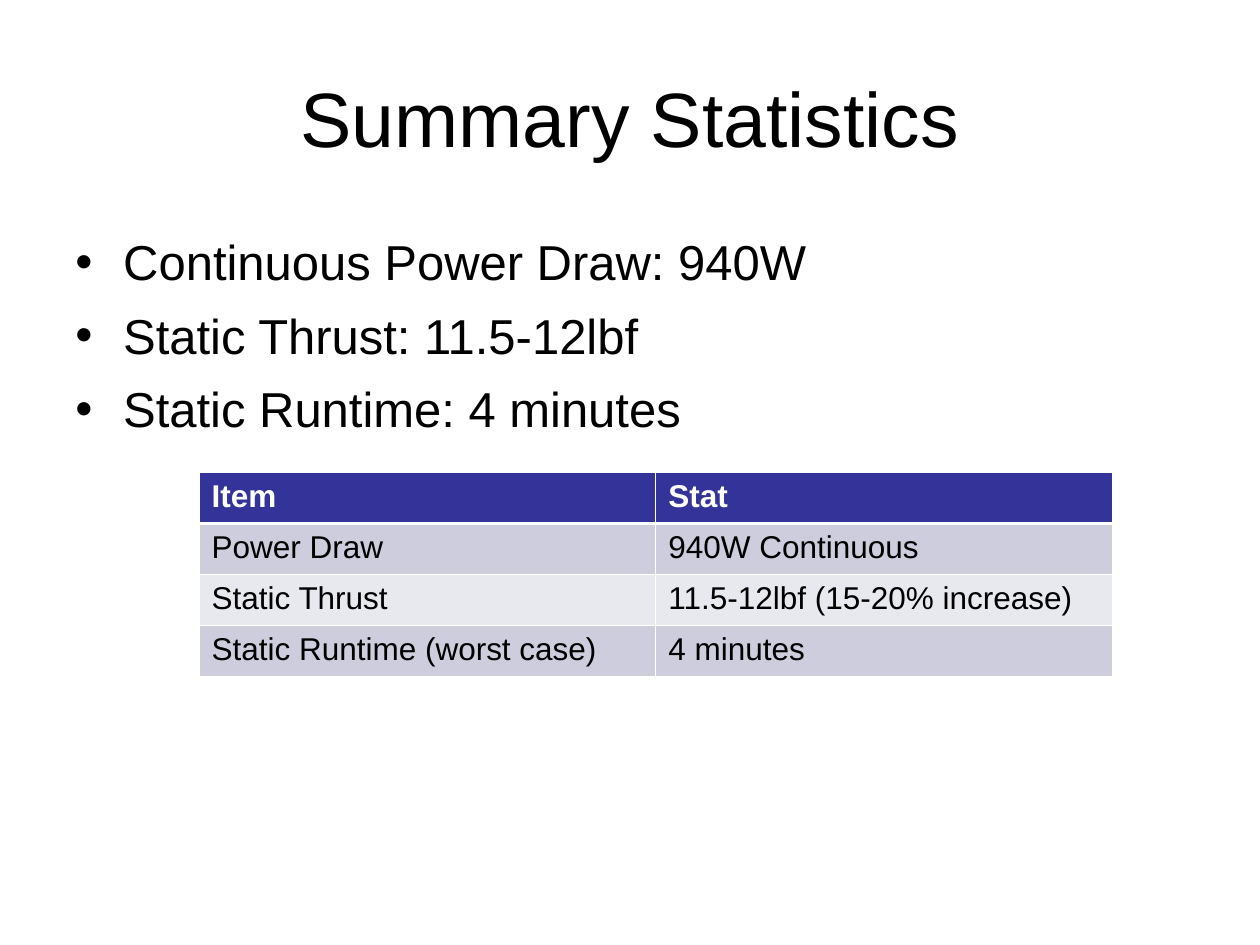
from dataclasses import dataclass

from lxml.etree import SubElement
from pptx import Presentation
from pptx.dml.color import RGBColor
from pptx.enum.text import MSO_ANCHOR, PP_ALIGN
from pptx.oxml.ns import qn
from pptx.util import Inches, Pt


@dataclass(frozen=True)
class Theme:
    font: str = "Arial"
    text: str = "000000"
    white: str = "FFFFFF"
    header: str = "333399"
    bands: tuple = ("CDCDDE", "E8E8EF")
    title_size: float = 44
    bullet_size: float = 28
    table_size: float = 18
    thin_border: float = 0.45
    header_border: float = 1.47


THEME = Theme()
BULLETS = [
    "Continuous Power Draw: 940W",
    "Static Thrust: 11.5-12lbf",
    "Static Runtime: 4 minutes",
]
STATISTICS = [
    ("Item", "Stat"),
    ("Power Draw", "940W Continuous"),
    ("Static Thrust", "11.5-12lbf (15-20% increase)"),
    ("Static Runtime (worst case)", "4 minutes"),
]


def format_runs(paragraph, size, color, bold=False):
    for run in paragraph.runs:
        run.font.name = THEME.font
        run.font.size = Pt(size)
        run.font.bold = bold
        run.font.color.rgb = RGBColor.from_string(color)


def add_text_frame(slide, box):
    text_frame = slide.shapes.add_textbox(*box).text_frame
    text_frame.word_wrap = True
    return text_frame


def add_title(slide, box, title):
    text_frame = add_text_frame(slide, box)
    text_frame.vertical_anchor = MSO_ANCHOR.MIDDLE
    text_frame.text = title
    paragraph = text_frame.paragraphs[0]
    paragraph.alignment = PP_ALIGN.CENTER
    format_runs(paragraph, THEME.title_size, THEME.text)


def set_bullet(paragraph, indent):
    properties = paragraph._p.get_or_add_pPr()
    properties.set("marL", str(indent))
    properties.set("indent", str(-indent))
    SubElement(properties, qn("a:buFont"), typeface=THEME.font)
    SubElement(properties, qn("a:buChar"), char="•")


def add_bullets(slide, box, items):
    text_frame = add_text_frame(slide, box)
    text_frame.margin_top = Inches(0.09)
    text_frame.text = "\n".join(items)
    for paragraph in text_frame.paragraphs:
        paragraph.space_after = Pt(8.4)
        set_bullet(paragraph, Inches(0.38))
        format_runs(paragraph, THEME.bullet_size, THEME.text)


def set_border(cell, side, width):
    """Draw one white cell border; side is L, R, T or B."""
    properties = cell._tc.get_or_add_tcPr()
    line = SubElement(properties, qn(f"a:ln{side}"), w=str(Pt(width)))
    fill = SubElement(line, qn("a:solidFill"))
    SubElement(fill, qn("a:srgbClr"), val=THEME.white)


def style_cell(cell, row_index):
    is_header = row_index == 0
    top = THEME.header_border if row_index == 1 else THEME.thin_border
    bottom = THEME.header_border if is_header else THEME.thin_border
    widths = {"L": THEME.thin_border, "R": THEME.thin_border, "T": top, "B": bottom}
    for side, width in widths.items():
        set_border(cell, side, width)
    band = THEME.bands[(row_index - 1) % len(THEME.bands)]
    cell.fill.solid()
    cell.fill.fore_color.rgb = RGBColor.from_string(THEME.header if is_header else band)
    color = THEME.white if is_header else THEME.text
    format_runs(cell.text_frame.paragraphs[0], THEME.table_size, color, is_header)


def add_statistics_table(slide, box, rows):
    table = slide.shapes.add_table(len(rows), len(rows[0]), *box).table
    for row_index, values in enumerate(rows):
        for column_index, value in enumerate(values):
            cell = table.cell(row_index, column_index)
            cell.text_frame.text = value
            style_cell(cell, row_index)


def main():
    presentation = Presentation()
    presentation.slide_width = Inches(10)
    presentation.slide_height = Inches(7.5)
    slide = presentation.slides.add_slide(presentation.slide_layouts[6])
    left, width = Inches(0.5), Inches(9)
    add_title(slide, (left, Inches(0.3), width, Inches(1.25)), "Summary Statistics")
    add_bullets(slide, (left, Inches(1.75), width, Inches(4.95)), BULLETS)
    table_box = (Inches(1.58), Inches(3.75), Inches(7.25), Inches(1.62))
    add_statistics_table(slide, table_box, STATISTICS)
    presentation.save("out.pptx")


if __name__ == "__main__":
    main()
